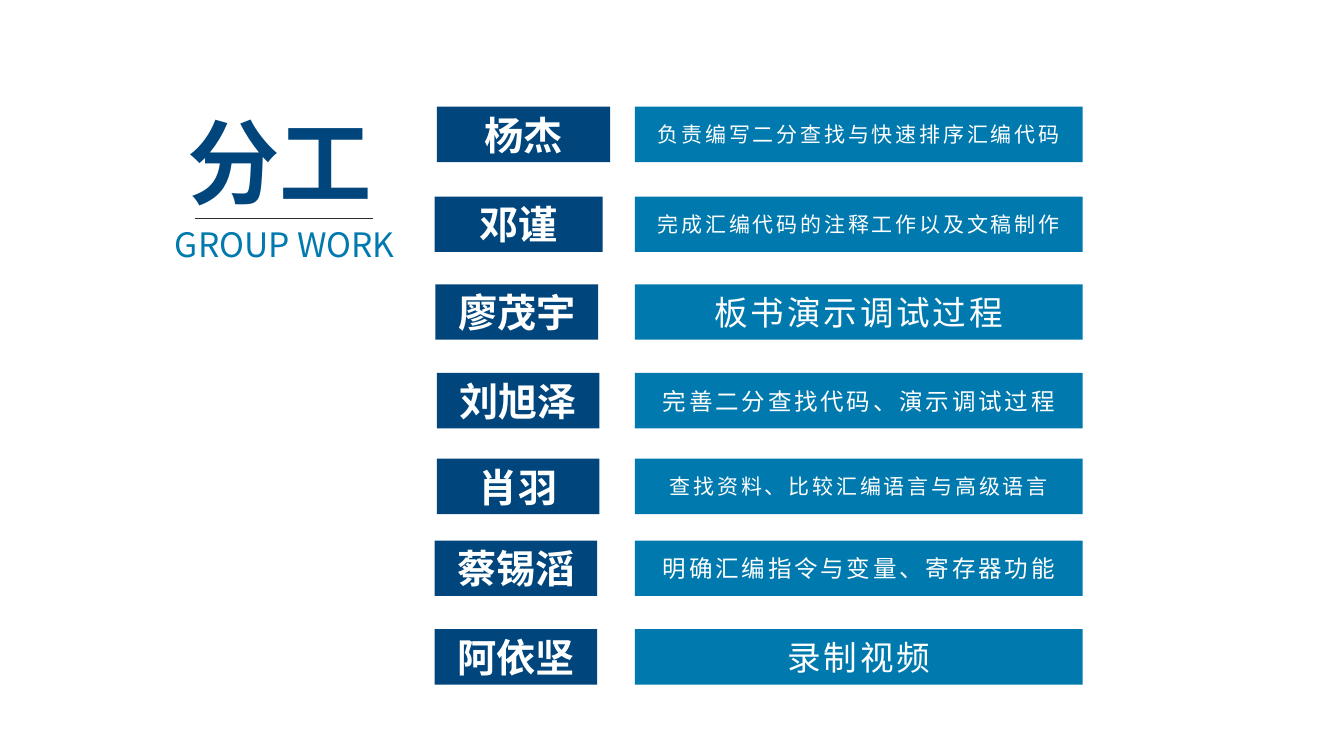
from collections import namedtuple
from dataclasses import dataclass

from lxml.etree import SubElement
from pptx import Presentation
from pptx.dml.color import RGBColor
from pptx.enum.shapes import MSO_CONNECTOR, MSO_SHAPE
from pptx.enum.text import MSO_ANCHOR, MSO_AUTO_SIZE, PP_ALIGN
from pptx.oxml.ns import qn
from pptx.util import Inches, Pt

COLUMNS, ROWS = 160, 90
CELL = Inches(7.5) / ROWS

Box = namedtuple("Box", "left top width height")
Member = namedtuple("Member", "top indent name_width name task task_size")


@dataclass(frozen=True)
class Theme:
    """Colours, font and type sizes of the slide."""
    navy: str = "00467C"
    blue: str = "007AAE"
    white: str = "FFFFFF"
    rule: str = "2D2D2D"
    font: str = "Noto Sans CJK SC"
    title: float = 66
    subtitle: float = 24
    name: float = 28
    task_large: float = 24
    task_medium: float = 16.8
    task_small: float = 15


THEME = Theme()

# Offsets and widths are in grid cells, measured from the list's own corner.
MEMBERS = [
    Member(0, 0.25, 20.65, "杨杰", "负责编写二分查找与快速排序汇编代码", THEME.task_small),
    Member(10.7, 0, 20, "邓谨", "完成汇编代码的注释工作以及文稿制作", THEME.task_small),
    Member(21.15, 0.1, 19.35, "廖茂宇", "板书演示调试过程", THEME.task_large),
    Member(31.7, 0.25, 19.35, "刘旭泽", "完善二分查找代码、演示调试过程", THEME.task_medium),
    Member(41.9, 0.25, 19.35, "肖羽", "查找资料、比较汇编语言与高级语言", THEME.task_small),
    Member(51.65, 0, 19.35, "蔡锡滔", "明确汇编指令与变量、寄存器功能", THEME.task_medium),
    Member(62.2, 0, 19.35, "阿依坚", "录制视频", THEME.task_large),
]


def cells(*counts):
    """Turn grid cells into slide lengths."""
    return [round(count * CELL) for count in counts]


def write(frame, text, *, size, color, bold=False, spacing=0):
    """Put one centred, formatted line of text in a frame."""
    paragraph = frame.paragraphs[0]
    paragraph.alignment = PP_ALIGN.CENTER
    run = paragraph.add_run()
    run.text = text
    run.font.size = Pt(size)
    run.font.bold = bold
    run.font.name = THEME.font
    run.font.color.rgb = RGBColor.from_string(color)
    properties = run.font._element
    SubElement(properties, qn("a:ea")).set("typeface", THEME.font)
    if spacing:
        properties.set("spc", str(spacing * 100))


def add_label(slide, box, text, **style):
    """Add an unwrapped text box that grows with its text."""
    frame = slide.shapes.add_textbox(*cells(*box)).text_frame
    frame.word_wrap = False
    frame.auto_size = MSO_AUTO_SIZE.SHAPE_TO_FIT_TEXT
    write(frame, text, **style)


def add_bar(slide, box, text, fill, inset=None, **style):
    """Add a filled bar with centred white text."""
    bar = slide.shapes.add_shape(MSO_SHAPE.RECTANGLE, *cells(*box))
    bar.shadow.inherit = False
    bar.fill.solid()
    bar.fill.fore_color.rgb = RGBColor.from_string(fill)
    bar.line.fill.background()
    frame = bar.text_frame
    frame.word_wrap = True
    frame.vertical_anchor = MSO_ANCHOR.MIDDLE
    if inset is not None:
        frame.margin_left = frame.margin_right = inset
        frame.margin_top = frame.margin_bottom = inset
    write(frame, text, color=THEME.white, **style)


def add_heading(slide, box):
    """Place the title, its rule and the subtitle inside the box."""
    rule_top = box.top + 14.15
    add_label(slide, Box(box.left + 2.4, box.top, 24.6, 14.5), "分工",
              size=THEME.title, color=THEME.navy, bold=True)
    rule = slide.shapes.add_connector(
        MSO_CONNECTOR.STRAIGHT,
        *cells(box.left + 4.6, rule_top, box.left + 25.8, rule_top))
    rule.line.color.rgb = RGBColor.from_string(THEME.rule)
    rule.line.width = Pt(0.5)
    SubElement(rule._element.spPr, qn("a:effectLst"))
    add_label(slide, Box(box.left, rule_top, box.width, 6), "GROUP WORK",
              size=THEME.subtitle, color=THEME.blue)


def add_members(slide, box, members):
    """Place a name bar and a task bar for each member inside the box."""
    bar_height = 6.6
    task_width = 53.3
    task_left = box.left + box.width - task_width
    for member in members:
        top = box.top + member.top
        add_bar(slide,
                Box(box.left + member.indent, top, member.name_width, bar_height),
                member.name, THEME.navy, inset=0, size=THEME.name, bold=True)
        add_bar(slide, Box(task_left, top, task_width, bar_height),
                member.task, THEME.blue, size=member.task_size, spacing=2)


def main():
    """Build the group work slide and save it."""
    deck = Presentation()
    deck.slide_width, deck.slide_height = cells(COLUMNS, ROWS)
    slide = deck.slides.add_slide(deck.slide_layouts[6])
    add_heading(slide, Box(18.6, 11.9, 30.6, 20.15))
    add_members(slide, Box(51.75, 12.7, 77.15, 68.8), MEMBERS)
    deck.save("out.pptx")


main()
